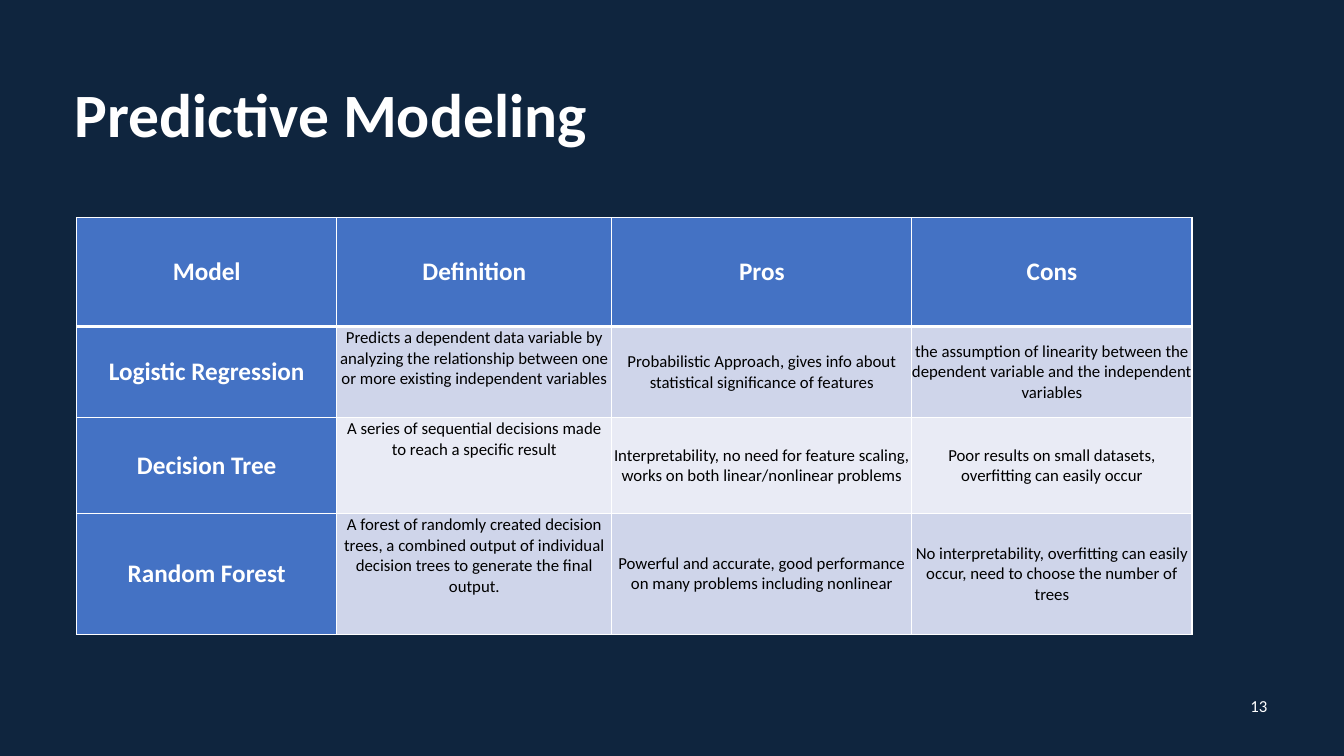
import lxml.etree
import pptx
import pptx.dml.color
import pptx.enum.text
import pptx.oxml.ns
import pptx.util

Cm = pptx.util.Cm
Pt = pptx.util.Pt
ALIGN = pptx.enum.text.PP_ALIGN
ANCHOR = pptx.enum.text.MSO_ANCHOR
FONT = "Calibri"

COLOURS = {
    "background": "0F253E",
    "heading": "4472C4",
    "odd": "CFD5EA",
    "even": "E9EBF5",
    "light": "FFFFFF",
    "dark": "000000",
}

COLUMN_WIDTHS = [6.56, 6.93, 7.56, 7.06]
ROW_HEIGHTS = [2.74, 2.3, 2.41, 3.05]

MODELS = [
    ["Model", "Definition", "Pros", "Cons"],
    [
        "Logistic Regression",
        "Predicts a dependent data variable by analyzing the relationship "
        "between one or more existing independent variables",
        "Probabilistic Approach, gives info about statistical significance of features",
        "the assumption of linearity between the dependent variable "
        "and the independent variables",
    ],
    [
        "Decision Tree",
        "A series of sequential decisions made to reach a specific result",
        "Interpretability, no need for feature scaling, works on both "
        "linear/nonlinear problems",
        "Poor results on small datasets, overfitting can easily occur",
    ],
    [
        "Random Forest",
        "A forest of randomly created decision trees, a combined output of "
        "individual decision trees to generate the final output.",
        "Powerful and accurate, good performance on many problems including nonlinear",
        "No interpretability, overfitting can easily occur, need to choose "
        "the number of trees",
    ],
]


def colour(name):
    return pptx.dml.color.RGBColor.from_string(COLOURS[name])


def add_text(frame, text, size, ink, bold=False, align=ALIGN.CENTER):
    para = frame.paragraphs[0]
    para.alignment = align
    span = para.add_run()
    span.text = text
    span.font.name = FONT
    span.font.size = Pt(size)
    span.font.bold = bold
    span.font.color.rgb = colour(ink)
    return para


def add_border(cell, side, width):
    properties = cell._tc.get_or_add_tcPr()
    line = lxml.etree.SubElement(
        properties, pptx.oxml.ns.qn("a:ln" + side), w=str(Pt(width))
    )
    fill = lxml.etree.SubElement(line, pptx.oxml.ns.qn("a:solidFill"))
    lxml.etree.SubElement(fill, pptx.oxml.ns.qn("a:srgbClr"), val=COLOURS["light"])


def format_cell(cell, row, column, text):
    heading = row == 0 or column == 0
    definition = column == 1 and not heading
    inset = Cm(0.03) if definition else 0
    cell.margin_left = cell.margin_right = cell.margin_top = inset
    cell.margin_bottom = 0
    cell.vertical_anchor = ANCHOR.TOP if definition else ANCHOR.MIDDLE
    for side in "LRTB":
        thick = (row == 0 and side == "B") or (row == 1 and side == "T")
        add_border(cell, side, 3 if thick else 1)
    band = "odd" if row % 2 else "even"
    cell.fill.solid()
    cell.fill.fore_color.rgb = colour("heading" if heading else band)
    if heading:
        add_text(cell.text_frame, text, 18, "light", bold=True)
    else:
        add_text(cell.text_frame, text, 12, "dark")


def add_model_table(page):
    frame = page.shapes.add_table(
        len(ROW_HEIGHTS), len(COLUMN_WIDTHS), Cm(1.93), Cm(5.49),
        Cm(sum(COLUMN_WIDTHS)), Cm(sum(ROW_HEIGHTS)),
    )
    table = frame.table
    for column, width in zip(table.columns, COLUMN_WIDTHS):
        column.width = Cm(width)
    for row, height in zip(table.rows, ROW_HEIGHTS):
        row.height = Cm(height)
    for row, texts in enumerate(MODELS):
        for column, text in enumerate(texts):
            format_cell(table.cell(row, column), row, column, text)


def add_title(page, text):
    title = page.shapes.title
    title.left, title.top = Cm(1.63), Cm(1.4)
    title.width, title.height = Cm(29.21), Cm(3.1)
    title.text_frame.vertical_anchor = ANCHOR.MIDDLE
    para = add_text(title.text_frame, text, 44, "light", bold=True, align=ALIGN.LEFT)
    para.line_spacing = 0.9


def add_page_number(page, text):
    box = page.shapes.add_textbox(Cm(31.09), Cm(17.27), Cm(1.27), Cm(1.02))
    box.text_frame.word_wrap = True
    box.text_frame.vertical_anchor = ANCHOR.MIDDLE
    add_text(box.text_frame, text, 12, "light")


def main():
    deck = pptx.Presentation()
    deck.slide_width, deck.slide_height = Cm(33.87), Cm(19.05)
    page = deck.slides.add_slide(deck.slide_layouts.get_by_name("Title Only"))
    page.background.fill.solid()
    page.background.fill.fore_color.rgb = colour("background")
    add_title(page, "Predictive Modeling")
    add_model_table(page)
    add_page_number(page, "13")
    deck.save("out.pptx")


if __name__ == "__main__":
    main()
